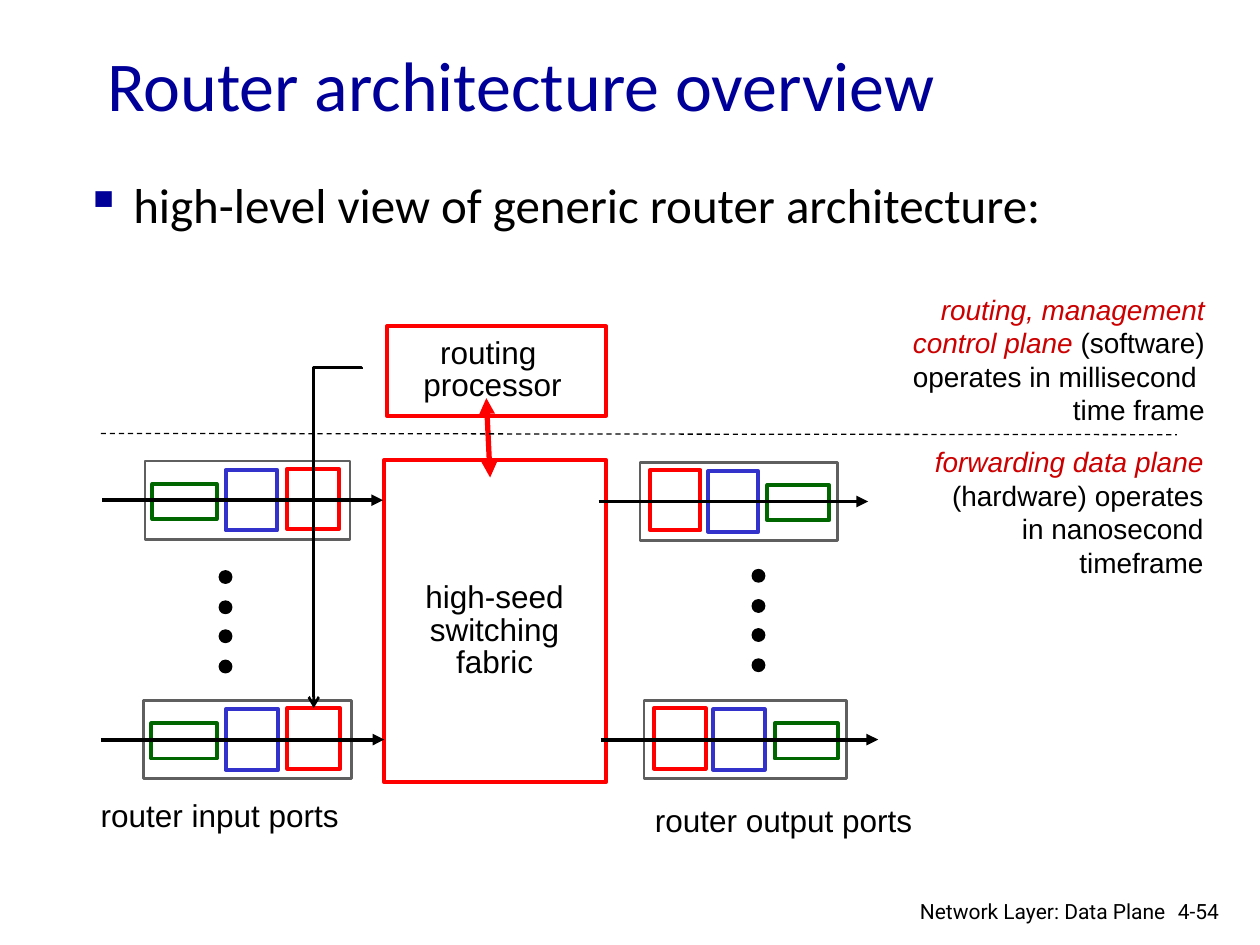
from lxml import etree
from pptx import Presentation
from pptx.dml.color import RGBColor
from pptx.enum.dml import MSO_LINE
from pptx.enum.shapes import MSO_CONNECTOR, MSO_SHAPE
from pptx.enum.text import MSO_ANCHOR, MSO_AUTO_SIZE, PP_ALIGN
from pptx.oxml.ns import qn
from pptx.util import Emu, Pt

PX = 9144  # EMU per px, 100 px to the inch
RECTANGLE, OVAL = MSO_SHAPE.RECTANGLE, MSO_SHAPE.OVAL
STRAIGHT, ELBOW = MSO_CONNECTOR.STRAIGHT, MSO_CONNECTOR.ELBOW
LEFT, CENTER, RIGHT = PP_ALIGN.LEFT, PP_ALIGN.CENTER, PP_ALIGN.RIGHT
COLORS = {
    "black": "000000", "white": "FFFFFF", "navy": "000099", "red": "FF0000",
    "crimson": "CC0000", "blue": "3333CC", "green": "006600", "gray": "5F5F5F",
}

# Port stages: colour, x offset, y offset, width, height
INPUT_STAGES = [("green", 6, 18, 51, 28), ("blue", 64, 7, 41, 48), ("red", 113, 6, 41, 48)]
OUTPUT_STAGES = [("red", 8, 6, 40, 48), ("blue", 54, 7, 40, 48), ("green", 101, 18, 49, 28)]


def px(value):
    return Emu(round(value) * PX)


def color(name):
    return RGBColor.from_string(COLORS[name])


class RouterSlide:
    def __init__(self, presentation):
        self.slide = presentation.slides.add_slide(presentation.slide_layouts[5])
        self.shapes = self.slide.shapes

    def style(self, paragraph, size, font, tint="black", align=LEFT):
        paragraph.alignment = align
        paragraph.font.size = Pt(size)
        paragraph.font.name = font
        paragraph.font.color.rgb = color(tint)

    def title(self, text, x, y, width, height):
        title = self.shapes.title
        title.left, title.top, title.width, title.height = map(px, (x, y, width, height))
        frame = title.text_frame
        frame.text = text
        frame.vertical_anchor = MSO_ANCHOR.MIDDLE
        frame.auto_size = MSO_AUTO_SIZE.NONE
        self.style(frame.paragraphs[0], 40, "Calibri", "navy")

    def text(self, lines, x, y, width, height, size=18, font="Arial",
             align=LEFT, spacing=None, wrap=True):
        """Each line is a string, or a list of (text, colour, italic) runs."""
        box = self.shapes.add_textbox(px(x), px(y), px(width), px(height))
        frame = box.text_frame
        frame.word_wrap = wrap
        frame.auto_size = MSO_AUTO_SIZE.SHAPE_TO_FIT_TEXT
        for index, line in enumerate(lines):
            paragraph = frame.paragraphs[0] if index == 0 else frame.add_paragraph()
            if spacing:
                paragraph.line_spacing = spacing
            self.style(paragraph, size, font, align=align)
            if isinstance(line, str):
                paragraph.add_run().text = line
                continue
            for text, tint, italic in line:
                run = paragraph.add_run()
                run.text = text
                run.font.color.rgb = color(tint)
                run.font.italic = italic
        return box

    def bullet(self, text, x, y, width, height):
        box = self.text([], x, y, width, height)
        box.text_frame.auto_size = MSO_AUTO_SIZE.NONE
        paragraph = box.text_frame.paragraphs[0]
        paragraph.line_spacing = 0.85
        properties = paragraph._p.get_or_add_pPr()
        properties.set("marL", str(px(38)))
        properties.set("indent", str(px(-38)))
        bullet_color = etree.SubElement(properties, qn("a:buClr"))
        etree.SubElement(bullet_color, qn("a:srgbClr"), val=COLORS["navy"])
        etree.SubElement(properties, qn("a:buChar"), char="▪")
        self.style(paragraph, 28, "Calibri")
        paragraph.add_run().text = text

    def shape(self, kind, x, y, width, height, line, weight=2.25, fill="white"):
        shape = self.shapes.add_shape(kind, px(x), px(y), px(width), px(height))
        shape.shadow.inherit = False
        shape.fill.solid()
        shape.fill.fore_color.rgb = color(fill)
        shape.line.color.rgb = color(line)
        shape.line.width = Pt(weight)

    def line(self, x1, y1, x2, y2, tint="black", weight=2.25, head=None, tail=None,
             dash=None, kind=STRAIGHT):
        connector = self.shapes.add_connector(kind, px(x1), px(y1), px(x2), px(y2))
        connector.line.color.rgb = color(tint)
        connector.line.width = Pt(weight)
        if dash:
            connector.line.dash_style = dash
        properties = connector._element.spPr
        outline = properties.find(qn("a:ln"))
        for tag, end in (("a:headEnd", head), ("a:tailEnd", tail)):
            if end:
                etree.SubElement(outline, qn(tag), type=end)
        etree.SubElement(properties, qn("a:effectLst"))
        return connector

    def elbow(self, x1, y1, x2, y2):
        """Runs sideways first, then down to an arrowhead."""
        center_x, center_y = (x1 + x2) / 2, (y1 + y2) / 2
        half_long, half_short = (y2 - y1) / 2, (x1 - x2) / 2
        connector = self.line(center_x - half_long, center_y - half_short,
                              center_x + half_long, center_y + half_short,
                              weight=1.5, tail="arrow", kind=ELBOW)
        properties = connector._element.spPr
        properties.find(qn("a:xfrm")).set("rot", "5400000")
        geometry = properties.find(qn("a:prstGeom"))
        adjustments = geometry.find(qn("a:avLst"))
        if adjustments is None:
            adjustments = etree.SubElement(geometry, qn("a:avLst"))
        etree.SubElement(adjustments, qn("a:gd"), name="adj1", fmla="val -100")

    def port(self, x, y, width, stages, base_width, arrow_start, arrow_end):
        scale = width / base_width
        self.shape(RECTANGLE, x, y, width, 62, "gray", 1.5)
        for tint, dx, dy, stage_width, stage_height in stages:
            self.shape(RECTANGLE, x + dx * scale, y + dy, stage_width * scale,
                       stage_height, tint)
        self.line(arrow_start, y + 31, arrow_end, y + 31, tail="triangle")

    def dots(self, x, y):
        for index in range(4):
            self.shape(OVAL, x, y + index * 71 / 3, 10, 10, "black", 0.75, "black")


def main():
    presentation = Presentation()
    presentation.slide_width, presentation.slide_height = px(1000), px(750)
    page = RouterSlide(presentation)
    page.title("Router architecture overview", 75, 33, 850, 67)
    page.bullet("high-level view of generic router architecture:", 58, 141, 850, 64)

    # Switching fabric and routing processor
    page.shape(RECTANGLE, 305, 365, 176, 256, "red")
    page.text(["high-seed ", "switching", "fabric"], 325, 458, 135, 88,
              align=CENTER, spacing=0.85, wrap=False)
    page.shape(RECTANGLE, 307, 259, 174, 71, "red")
    page.text(["routing ", "processor"], 326, 264, 130, 61,
              align=CENTER, spacing=0.85, wrap=False)
    page.line(386, 316, 389, 379, "red", 3, head="triangle", tail="triangle")

    # Input ports
    page.port(115, 366, 163, INPUT_STAGES, 163, 81, 304)
    page.port(114, 556, 165, INPUT_STAGES, 163, 80, 305)
    page.dots(174, 453)
    page.text(["router input ports"], 70, 627, 209, 40, wrap=False)

    # Output ports
    page.port(508, 367, 157, OUTPUT_STAGES, 157, 475, 689)
    page.port(511, 556, 161, OUTPUT_STAGES, 157, 477, 697)
    page.dots(597, 452)
    page.text(["router output ports"], 510, 631, 224, 40, wrap=False)

    # Control plane and data plane
    page.line(80, 344, 934, 345, weight=0.75, dash=MSO_LINE.DASH)
    page.text([[("forwarding data plane ", "crimson", True),
                ("(hardware) operates in nanosecond timeframe", "black", False)]],
              726, 348, 239, 118, size=16, align=RIGHT)
    page.text([[("routing, management", "crimson", True)],
               [("control plane ", "crimson", True), ("(software)", "black", False)],
               "operates in millisecond ", "time frame"],
              651, 227, 315, 118, size=16, align=RIGHT)
    page.elbow(287, 292, 249, 562)

    # Footer
    page.text(["4-54"], 925, 708, 61, 30, size=12, font="Roboto")
    page.text(["Network Layer: Data Plane"], 697, 708, 238, 26, size=12,
              font="Roboto", align=RIGHT)
    presentation.save("out.pptx")


if __name__ == "__main__":
    main()
